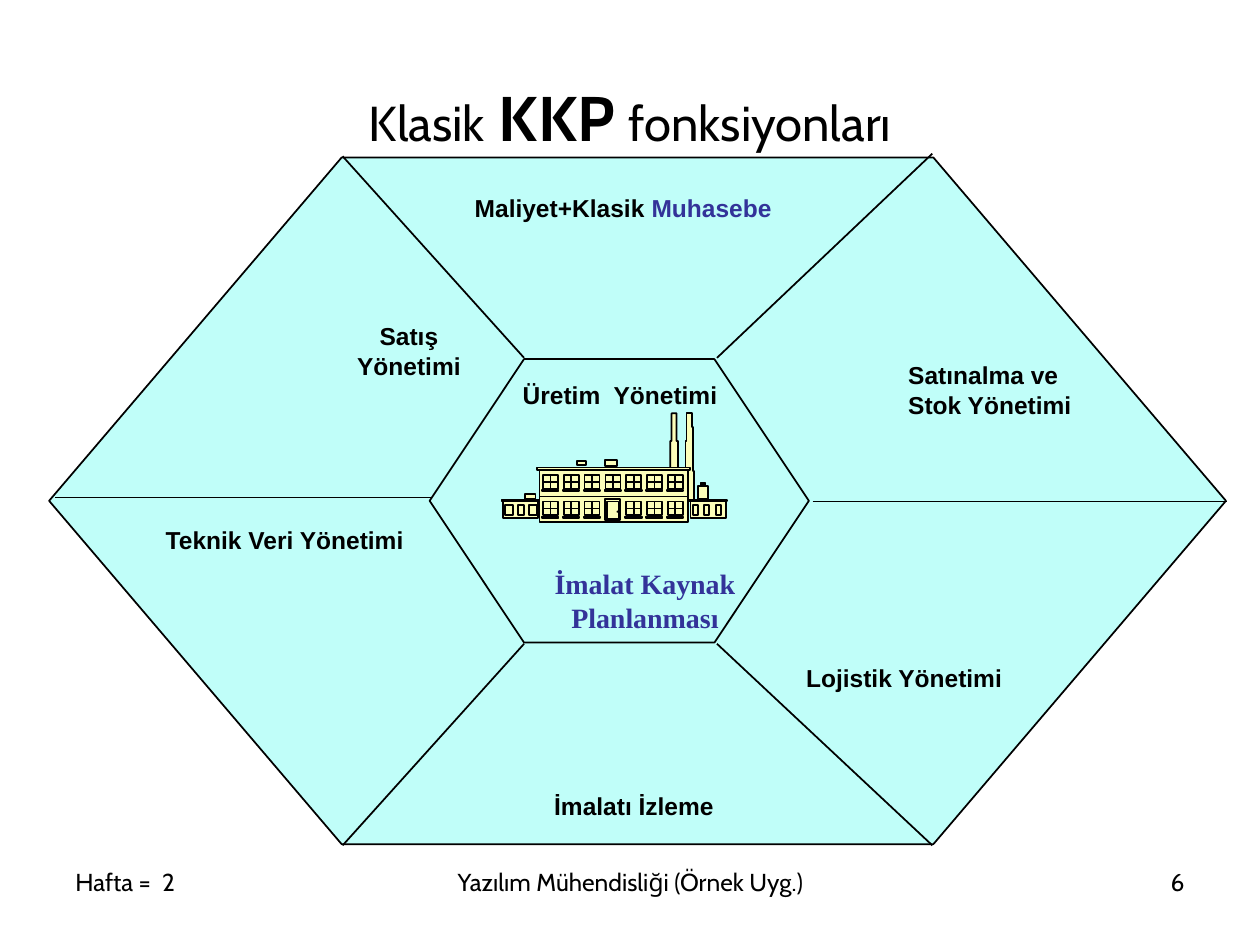
from lxml.etree import SubElement
from pptx import Presentation
from pptx.dml.color import RGBColor
from pptx.enum.shapes import MSO_CONNECTOR, MSO_SHAPE
from pptx.enum.text import MSO_ANCHOR, MSO_AUTO_SIZE, PP_ALIGN
from pptx.oxml.ns import qn
from pptx.util import Pt

THEME = {
    "ink": "000000", "accent": "333399", "panel": "C0FEF9", "factory": "FCFEB9",
    "label_font": "Arial", "center_font": "Times New Roman", "deck_font": "Cabin",
    "title": 28, "title_strong": 36, "center": 16, "label": 14, "line": 1,
}
INK, ACCENT = THEME["ink"], THEME["accent"]
LEFT, CENTER, RIGHT = PP_ALIGN.LEFT, PP_ALIGN.CENTER, PP_ALIGN.RIGHT

# Content: paragraphs are lists of (text, overrides) spans
TITLE = [[("Klasik", {}), (" ", {"size": THEME["title_strong"]}),
          ("KKP ", {"size": THEME["title_strong"], "bold": True}),
          ("fonksiyonları", {})]]
LABELS = [  # paragraphs, (left, top, width, height), alignment, wrap
    ([[("Maliyet+Klasik ", {}), ("Muhasebe", {"color": ACCENT})]],
     (264.2, 106.6, 184.3, 24), LEFT, False),
    ([[("Satış", {})], [("Yönetimi", {})]], (196.6, 180, 74.2, 41), CENTER, False),
    ([[("İmalatı İzleme", {})]], (309.6, 448.6, 105.8, 24), LEFT, False),
    ([[("Satınalma ve", {})], [("Stok Yönetimi", {})]],
     (511.9, 202.3, 108, 41), LEFT, False),
    ([[("Teknik Veri Yönetimi", {})]], (87.1, 296.6, 151.2, 24), CENTER, False),
    ([[("Lojistik Yönetimi", {})]], (453.6, 375.1, 126.7, 24), LEFT, False),
    ([[("Üretim  Yönetimi", {})]], (291.6, 213.8, 140.4, 24), LEFT, True),
]
PLANNING = [[("İmalat Kaynak", {})], [("Planlanması", {})]]
FOOTERS = [
    ("Hafta =  2", 36, 167.8, LEFT),
    ("Yazılım Mühendisliği (Örnek Uyg.)", 246.2, 228.2, CENTER),
    ("6", 516.2, 167.8, RIGHT),
]

# Hexagons: box and adjustment; dividers: start, end, line width
OUTER_HEXAGON = ((28.1, 90, 672.5, 392.4), 0.426)
INNER_HEXAGON = ((245.5, 205.2, 216.7, 162), 0.333)
DIVIDERS = [
    ((464.4, 286.6), (701.3, 286.6), 1),
    ((195.8, 89.3), (299.5, 204.5), 1),
    ((532.8, 87.8), (409.7, 204.5), 1),
    ((195.8, 483.1), (299.5, 367.9), 1),
    ((409.7, 367.9), (532.8, 483.1), 1),
    ((31.7, 284.4), (247, 284.4), 0.75),
]

# Factory parts, back to front
CHIMNEYS = [
    [(383.8, 236.2), (383.8, 252), (383, 252), (383, 269.3), (382.3, 269.3),
     (382.3, 285.8), (385.2, 285.8), (387.4, 269.3), (387.4, 252), (386.6, 252),
     (386.6, 236.2)],
    [(392.4, 236.2), (392.4, 252), (391.7, 252), (391.7, 285.8), (396.7, 285.8),
     (396.7, 269.3), (396, 269.3), (396, 244.1), (395.3, 244.1), (395.3, 236.2)],
]
TANK = [(400.3, 275.8, 2.9, 1.4), (398.9, 277.9, 5.8, 7.2)]
VENT = [(300.2, 282.2, 5.8, 2.9)]
ANNEXES = [  # left edge, panes as (left, width)
    (394.6, [(396, 2.9), (402.5, 2.9), (409, 2.9)]),
    (287.3, [(288.7, 4.3), (295.9, 3.6), (302.4, 4.3)]),
]
MAIN_BUILDING = [
    (308.2, 268.6, 85, 29.5), (329.8, 263.5, 5, 2.2), (345.6, 262.8, 7.2, 3.6),
    (306.7, 267.1, 87.8, 1.4), (308.2, 283.7, 85, 0),
]
WINDOW_LEFT, WINDOW_PITCH, WINDOW_COLUMNS = 310.3, 11.88, 7
WINDOW_ROWS = [(271.4, None), (286.6, 3)]  # top, column left free for the door
DOOR = [(345.6, 285.1, 8.6, 12.2), (347, 286.6, 6.5, 10.1)]
DOOR_KNOB = (352.8, 292.3, 0.2, 0.2)


def rgb(value):
    return RGBColor.from_string(value)


def write(frame, paragraphs, *, size, font, color=INK, bold=False, align=LEFT,
          wrap=True, fit=MSO_AUTO_SIZE.NONE, anchor=MSO_ANCHOR.TOP):
    frame.word_wrap, frame.auto_size, frame.vertical_anchor = wrap, fit, anchor
    for index, spans in enumerate(paragraphs):
        para = frame.add_paragraph() if index else frame.paragraphs[0]
        para.alignment = align
        for text, override in spans:
            span = para.add_run()
            span.text = text
            span.font.name = font
            span.font.size = Pt(override.get("size", size))
            span.font.bold = override.get("bold", bold)
            span.font.color.rgb = rgb(override.get("color", color))


def add_text(page, bounds, paragraphs, **style):
    box = page.shapes.add_textbox(*map(Pt, bounds))
    write(box.text_frame, paragraphs, **style)


def paint(shape, fill):
    shape.shadow.inherit = False
    shape.fill.solid()
    shape.fill.fore_color.rgb = rgb(fill)
    shape.line.color.rgb = rgb(INK)
    shape.line.width = Pt(THEME["line"])


def add_block(shapes, bounds, kind=MSO_SHAPE.RECTANGLE, fill=THEME["factory"]):
    shape = shapes.add_shape(kind, *map(Pt, bounds))
    paint(shape, fill)
    return shape


def add_hexagon(shapes, bounds, adjustment):
    shape = add_block(shapes, bounds, MSO_SHAPE.HEXAGON, THEME["panel"])
    shape.adjustments[0] = adjustment


def add_line(shapes, start, end, width=THEME["line"]):
    line = shapes.add_connector(MSO_CONNECTOR.STRAIGHT, *map(Pt, (*start, *end)))
    line.line.color.rgb = rgb(INK)
    line.line.width = Pt(width)
    SubElement(line._element.spPr, qn("a:effectLst"))


def add_window(shapes, left, top):
    add_block(shapes, (left, top, 8.6, 7.9))
    add_block(shapes, (left - 0.5, top + 8.6, 9.4, 0.7))
    add_line(shapes, (left + 4.3, top - 0.4), (left + 4.3, top + 8.3))
    add_line(shapes, (left - 0.4, top + 4), (left + 9, top + 4))


def add_factory(shapes):
    for outline in CHIMNEYS:
        points = [(Pt(x), Pt(y)) for x, y in outline]
        builder = shapes.build_freeform(*points[0])
        builder.add_line_segments(points[1:], close=True)
        paint(builder.convert_to_shape(), THEME["factory"])
    for bounds in TANK + VENT:
        add_block(shapes, bounds)
    for left, panes in ANNEXES:
        add_block(shapes, (left, 286.6, 20.2, 9.4))
        add_block(shapes, (left - 0.7, 285.8, 21.6, 0.7))
        for pane_left, width in panes:
            add_block(shapes, (pane_left, 288.7, width, 5.8))
    for bounds in MAIN_BUILDING:
        add_block(shapes, bounds)
    for top, door_column in WINDOW_ROWS:
        for column in range(WINDOW_COLUMNS):
            if column != door_column:
                add_window(shapes, WINDOW_LEFT + column * WINDOW_PITCH, top)
    for bounds in DOOR:
        add_block(shapes, bounds)
    add_block(shapes, DOOR_KNOB, MSO_SHAPE.OVAL)


def main():
    deck = Presentation()
    deck.slide_width, deck.slide_height = Pt(720), Pt(540)
    page = deck.slides.add_slide(deck.slide_layouts[5])

    # Title
    title = page.shapes.title
    title.left, title.top, title.width, title.height = map(Pt, (36, 21.6, 648, 90))
    write(title.text_frame, TITLE, size=THEME["title"], font=THEME["deck_font"],
          align=CENTER, anchor=MSO_ANCHOR.MIDDLE)

    # Hexagons and dividers
    add_hexagon(page.shapes, *OUTER_HEXAGON)
    core = page.shapes.add_group_shape().shapes
    add_hexagon(core, *INNER_HEXAGON)
    for start, end, width in DIVIDERS:
        add_line(core, start, end, width)

    # Function labels
    for paragraphs, bounds, align, wrap in LABELS:
        add_text(page, bounds, paragraphs, size=THEME["label"], bold=True,
                 font=THEME["label_font"], align=align, wrap=wrap,
                 fit=MSO_AUTO_SIZE.SHAPE_TO_FIT_TEXT)
    add_text(page, (303.8, 320.4, 129.6, 46.1), PLANNING, size=THEME["center"],
             bold=True, font=THEME["center_font"], color=ACCENT, align=CENTER,
             fit=MSO_AUTO_SIZE.SHAPE_TO_FIT_TEXT)

    # Footer
    for text, left, width, align in FOOTERS:
        add_text(page, (left, 491.8, width, 37.4), [[(text, {})]],
                 size=THEME["label"], font=THEME["deck_font"], align=align)

    # Factory drawing
    add_factory(page.shapes.add_group_shape().shapes)
    deck.save("out.pptx")


if __name__ == "__main__":
    main()
